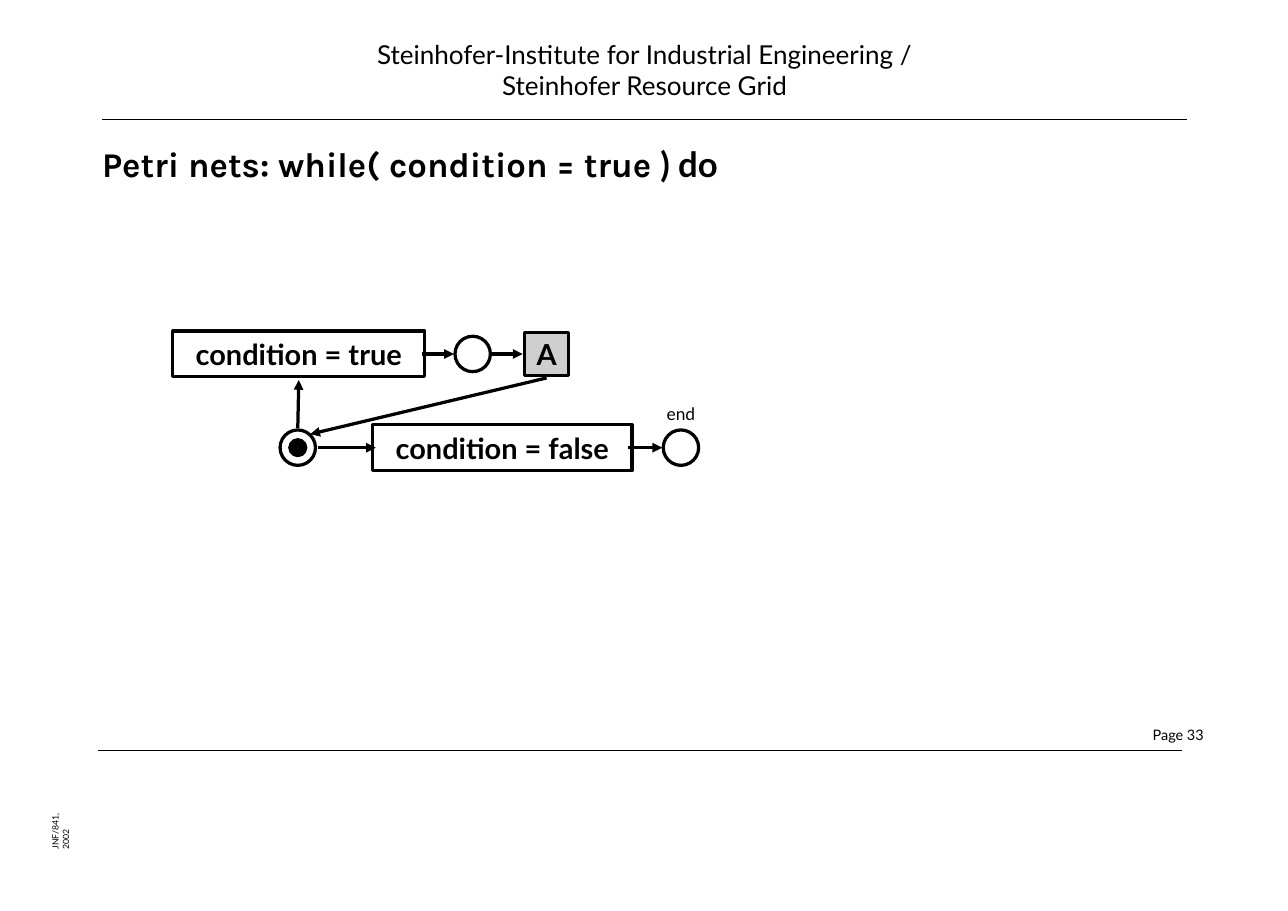
import pptx
import pptx.util
import pptx.dml.color
import pptx.enum.shapes
import pptx.enum.text
import pptx.oxml
import pptx.oxml.ns
from dataclasses import dataclass
from typing import Any, Optional

Inches, Pt = pptx.util.Inches, pptx.util.Pt
RGB = pptx.dml.color.RGBColor
SHAPE = pptx.enum.shapes.MSO_SHAPE
ALIGN = pptx.enum.text.PP_ALIGN
ANCHOR = pptx.enum.text.MSO_ANCHOR
qn = pptx.oxml.ns.qn
Point = tuple[float, float]
Box = tuple[float, float, float, float]


@dataclass(frozen=True)
class Theme:
    ink: RGB = RGB(0, 0, 0)
    activity: RGB = RGB(0xCE, 0xCE, 0xCE)
    body: str = "Lato"
    heading: str = "Karla"
    title: int = 24
    node: int = 20
    header: int = 18
    label: int = 12
    page: int = 10
    code: int = 6
    net_line: float = 2.25


THEME = Theme()


@dataclass(frozen=True)
class Label:
    lines: list[str]
    box: Box
    size: int
    align: Any = ALIGN.LEFT
    anchor: Any = ANCHOR.TOP
    leading: Optional[int] = None
    rotation: int = 0


@dataclass(frozen=True)
class Node:
    kind: Any
    box: Box
    text: str = ""
    fill: Optional[RGB] = None
    width: float = THEME.net_line


@dataclass(frozen=True)
class Line:
    start: Point
    stop: Point
    width: float = THEME.net_line
    arrow: bool = True


def place(center: Point, size: float = 0.34, **options: Any) -> Node:
    """A round Petri net place around its center."""
    x, y = center
    return Node(SHAPE.OVAL, (x - size / 2, y - size / 2, size, size), **options)


# Rows of the net: loop body above, loop test below
TOP, BOTTOM = 3.4, 4.3
START = (2.86, BOTTOM)

LABELS = [
    Label(["Page 33"], (10.52, 6.97, 1.04, 0.19), THEME.page, ALIGN.RIGHT),
    Label(["Steinhofer-Institute for Industrial Engineering /", "Steinhofer Resource Grid"],
          (0.98, 0.36, 10.42, 0.61), THEME.header, ALIGN.CENTER, leading=22),
    Label(["JNF/841, 2002"], (0.36, 7.84, 0.54, 0.1), THEME.code,
          anchor=ANCHOR.BOTTOM, rotation=270),
    Label(["end"], (6.29, 3.87, 0.5, 0.2), THEME.label, ALIGN.CENTER),
]
RULES = [
    Line((11.35, 7.21), (0.94, 7.21), 0.85, False),
    Line((11.4, 1.15), (0.98, 1.15), 1, False),
]
NODES = [
    Node(SHAPE.RECTANGLE, (3.58, BOTTOM - 0.22, 2.49, 0.44), "condition = false"),
    Node(SHAPE.RECTANGLE, (1.66, TOP - 0.22, 2.42, 0.44), "condition = true"),
    Node(SHAPE.RECTANGLE, (5.04, TOP - 0.21, 0.42, 0.42), "A", THEME.activity),
    place((6.54, BOTTOM)),
    place((4.54, TOP)),
]
MARKED_PLACE = [place(START), place(START, 0.17, fill=THEME.ink, width=1)]
ARROWS = [
    Line((2.86, 4.11), (2.87, 3.65)),
    Line((4.05, TOP), (4.36, TOP)),
    Line((5.25, 3.63), (2.98, 4.17)),
    Line((3.05, BOTTOM), (3.61, BOTTOM)),
    Line((6.03, BOTTOM), (6.36, BOTTOM)),
    Line((4.73, TOP), (5.02, TOP)),
]


def set_attrs(target: Any, values: dict[str, Any]) -> None:
    for name, value in values.items():
        setattr(target, name, value)


def format_frame(tf: Any, anchor: Any, wrap: bool = True) -> None:
    set_attrs(tf, {"margin_left": 0, "margin_right": 0, "margin_top": 0, "margin_bottom": 0,
                   "word_wrap": wrap, "vertical_anchor": anchor,
                   "auto_size": pptx.enum.text.MSO_AUTO_SIZE.NONE})


def add_run(p: Any, text: str, size: int, bold: bool = False, face: str = THEME.body) -> None:
    r = p.add_run()
    r.text = text
    set_attrs(r.font, {"size": Pt(size), "bold": bold, "name": face})
    r.font.color.rgb = THEME.ink


def add_label(s: Any, label: Label) -> None:
    sp = s.shapes.add_textbox(*map(Inches, label.box))
    sp.rotation = label.rotation
    tf = sp.text_frame
    format_frame(tf, label.anchor)
    for i, text in enumerate(label.lines):
        p = tf.add_paragraph() if i else tf.paragraphs[0]
        p.alignment = label.align
        if label.leading:
            p.line_spacing = Pt(label.leading)
        add_run(p, text, label.size)


def add_line(s: Any, line: Line) -> None:
    c = s.shapes.add_connector(pptx.enum.shapes.MSO_CONNECTOR.STRAIGHT,
                               *map(Inches, line.start + line.stop))
    c.line.color.rgb = THEME.ink
    c.line.width = Pt(line.width)
    props = c.element.spPr
    if line.arrow:
        tail = pptx.oxml.ns.qn("a:tailEnd")
        end = props.find(qn("a:ln")).makeelement(tail, {"type": "triangle"})
        props.find(qn("a:ln")).append(end)
    props.append(props.makeelement(qn("a:effectLst"), {}))


def add_node(shapes: Any, node: Node) -> None:
    sp = shapes.add_shape(node.kind, *map(Inches, node.box))
    sp.shadow.inherit = False
    if node.fill is None:
        sp.fill.background()
    else:
        sp.fill.solid()
        sp.fill.fore_color.rgb = node.fill
    sp.line.color.rgb = THEME.ink
    sp.line.width = Pt(node.width)
    if node.text:
        format_frame(sp.text_frame, ANCHOR.MIDDLE, wrap=False)
        p = sp.text_frame.paragraphs[0]
        p.alignment = ALIGN.CENTER
        add_run(p, node.text, THEME.node, bold=True)


def add_title(s: Any) -> None:
    sp = s.shapes.title
    box = dict(zip(("left", "top", "width", "height"), map(Inches, (0.98, 1.38, 10.42, 0.58))))
    set_attrs(sp, box)
    format_frame(sp.text_frame, ANCHOR.TOP)
    p = sp.text_frame.paragraphs[0]
    set_attrs(p, {"alignment": ALIGN.LEFT, "line_spacing": Pt(28)})
    add_run(p, "Petri nets: while( condition = true ", THEME.title, True, THEME.heading)
    add_run(p, ") do", THEME.title, True)


def main() -> None:
    prs = pptx.Presentation()
    set_attrs(prs, {"slide_width": Inches(12.37), "slide_height": Inches(8.75)})
    s = prs.slides.add_slide(prs.slide_layouts[5])

    # Page frame and title
    add_title(s)
    for label in LABELS:
        add_label(s, label)
    for rule in RULES:
        add_line(s, rule)

    # Petri net
    for node in NODES:
        add_node(s.shapes, node)
    group = s.shapes.add_group_shape()
    for node in MARKED_PLACE:
        add_node(group.shapes, node)
    for arrow in ARROWS:
        add_line(s, arrow)

    prs.save("out.pptx")


if __name__ == "__main__":
    main()
